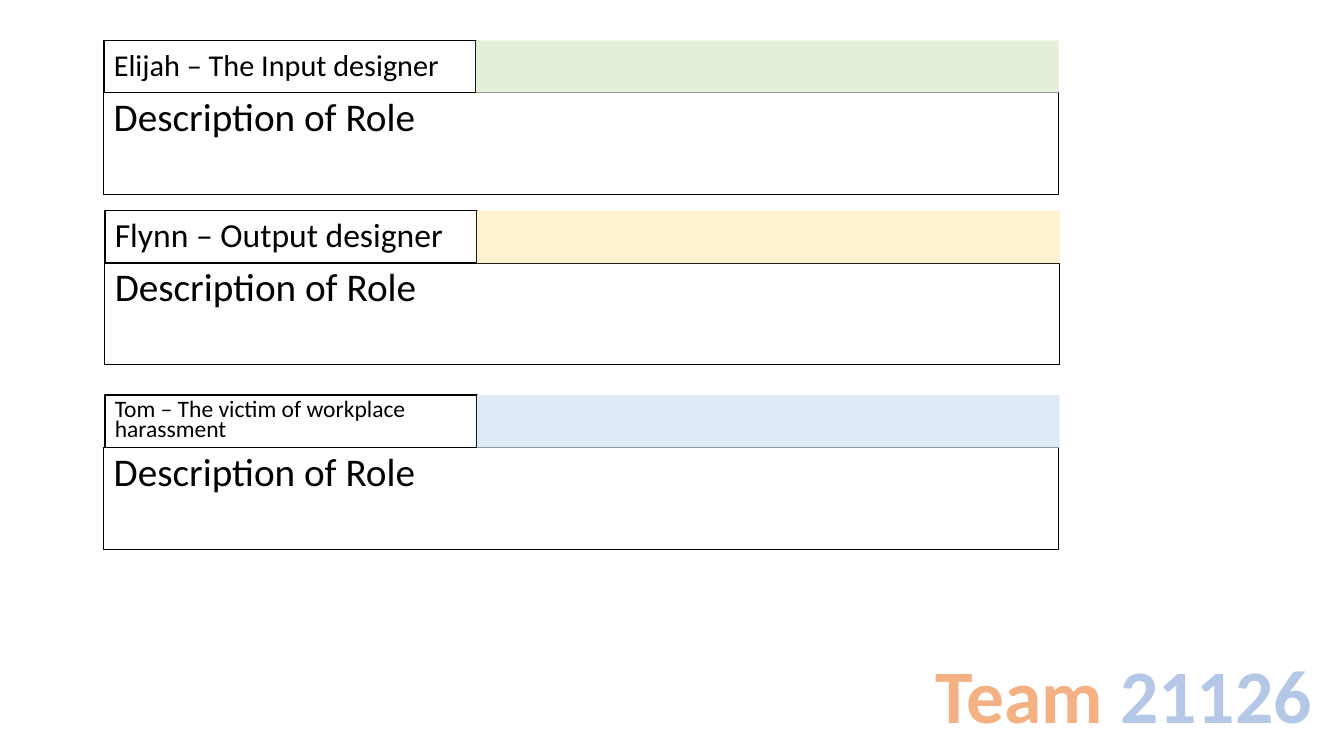
from pptx import Presentation
from pptx.dml.color import RGBColor
from pptx.enum import shapes, text
from pptx.util import Inches, Pt

BLACK = RGBColor(0x00, 0x00, 0x00)
GREEN = RGBColor(0xE2, 0xF0, 0xD9)
YELLOW = RGBColor(0xFF, 0xF2, 0xCC)
BLUE = RGBColor(0xDE, 0xEB, 0xF7)
TEAM_ORANGE = RGBColor(0xF4, 0xB1, 0x83)
TEAM_BLUE = RGBColor(0xB4, 0xC7, 0xE7)

FONT = "Calibri"
NAME_WIDTH, ROLE_WIDTH = 3.69, 9.47
NAME_HEIGHT, ROLE_HEIGHT = 0.52, 1.01

# Name, text size, line spacing, name left, role left, top, band colour
MEMBERS = [
    ("Elijah – The Input designer", 21.6, 0.9, 1.03, 1.03, 0.4, GREEN),
    ("Flynn – Output designer", 24, 0.9, 1.04, 1.04, 2.09, YELLOW),
    ("Tom – The victim of workplace harassment", 16.8, 0.7, 1.04, 1.03, 3.92, BLUE),
]


def add_text(paragraph, words, size, color=BLACK, bold=False):
    run = paragraph.add_run()
    run.text = words
    run.font.name = FONT
    run.font.size = Pt(size)
    run.font.bold = bold
    run.font.color.rgb = color


def add_box(slide, left, top, width, height, fill=None, border=None):
    box = slide.shapes.add_shape(
        shapes.MSO_SHAPE.RECTANGLE,
        Inches(left), Inches(top), Inches(width), Inches(height))
    box.shadow.inherit = False
    if fill is None:
        box.fill.background()
    else:
        box.fill.solid()
        box.fill.fore_color.rgb = fill
    if border is None:
        box.line.fill.background()
    else:
        box.line.color.rgb = BLACK
        box.line.width = Pt(border)
    return box


def write_in_box(box, words, size, anchor, spacing, before=0):
    frame = box.text_frame
    frame.word_wrap = True
    frame.vertical_anchor = anchor
    paragraph = frame.paragraphs[0]
    paragraph.alignment = text.PP_ALIGN.LEFT
    paragraph.line_spacing = spacing
    paragraph.space_before = Pt(before)
    add_text(paragraph, words, size)


def add_member(slide, name, size, spacing, name_left, role_left, top, color):
    # Name, role description below it, coloured band beside it
    name_box = add_box(slide, name_left, top, NAME_WIDTH, NAME_HEIGHT, border=1)
    write_in_box(name_box, name, size, text.MSO_ANCHOR.MIDDLE, spacing)
    role_box = add_box(slide, role_left, top + NAME_HEIGHT,
                       ROLE_WIDTH, ROLE_HEIGHT, border=0.75)
    write_in_box(role_box, "Description of Role", 28,
                 text.MSO_ANCHOR.TOP, 0.9, before=10)
    add_box(slide, name_left + NAME_WIDTH, top,
            ROLE_WIDTH - NAME_WIDTH, NAME_HEIGHT, fill=color)


def add_team(slide):
    team = slide.shapes.add_textbox(
        Inches(9.18), Inches(6.38), Inches(4.01), Inches(1.01))
    team.text_frame.word_wrap = True
    team.text_frame.auto_size = text.MSO_AUTO_SIZE.SHAPE_TO_FIT_TEXT
    paragraph = team.text_frame.paragraphs[0]
    add_text(paragraph, "Team ", 54, color=TEAM_ORANGE, bold=True)
    add_text(paragraph, "21126", 54, color=TEAM_BLUE, bold=True)


def main():
    prs = Presentation()
    prs.slide_width, prs.slide_height = Inches(13.33), Inches(7.5)
    slide = prs.slides.add_slide(prs.slide_layouts[6])
    for member in MEMBERS:
        add_member(slide, *member)
    add_team(slide)
    prs.save("out.pptx")


if __name__ == "__main__":
    main()
